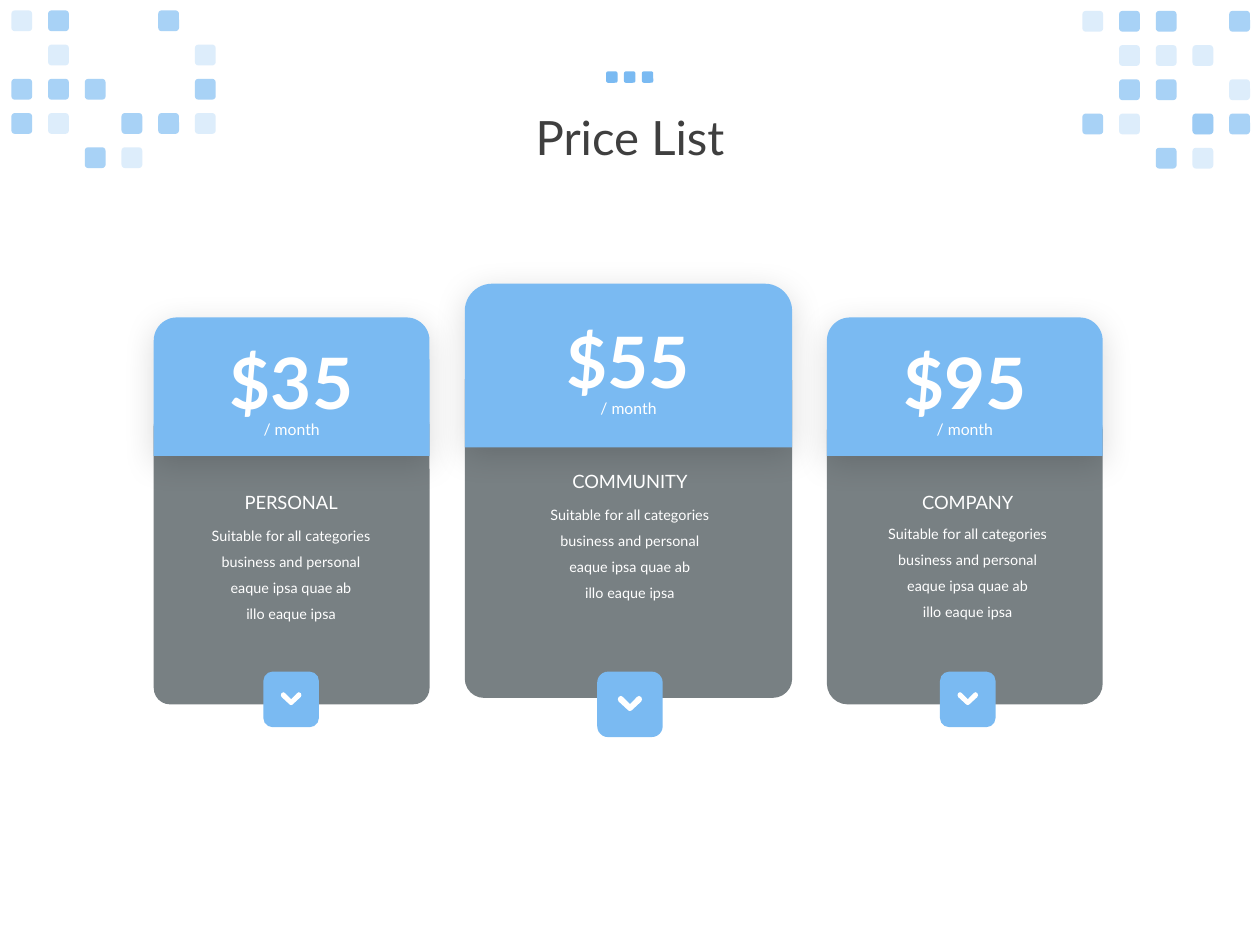
from lxml import etree
from pptx import Presentation
from pptx import util as u
from pptx.dml.color import RGBColor
from pptx.enum import shapes, text
from pptx.oxml.ns import qn

Cm, Pt = u.Cm, u.Pt
BLUE = RGBColor(0x7A, 0xBA, 0xF2)
SLATE = RGBColor(0x31, 0x3C, 0x41)
DARK = RGBColor(0x3F, 0x3F, 0x3F)
BLACK = RGBColor(0, 0, 0)
WHITE = RGBColor(0xFF, 0xFF, 0xFF)
ROUND = shapes.MSO_SHAPE.ROUNDED_RECTANGLE
ROUND_TOP = shapes.MSO_SHAPE.ROUND_2_SAME_RECTANGLE

# Each letter is a square with this opacity; "b" is a light square over a medium one
OPACITIES = {"l": [25], "m": [65], "b": [65, 25], "f": [100], ".": []}
LEFT_CORNER = ["lm..m.", ".l...l", "mmm..m", "ml.mml", "..ml.."]
RIGHT_CORNER = ["lmm.m", ".lll.", ".mm.l", "ml.bm", "..ml."]

FEATURES = ["Suitable for all categories business and personal",
            "eaque ipsa quae ab", "illo eaque ipsa"]
SMALL_INSETS = dict(margin_left=Cm(0.18), margin_right=Cm(0.18),
                    margin_top=Cm(0.1), margin_bottom=Cm(0.1))

# box: left, top, width, height; axis: centre line of the lower texts and button
CARDS = [
    dict(price="$35", name="PERSONAL", box=(3.1, 6.4, 5.56, 7.8), head=2.79,
         body_top=1.86, adj=0.059, price_top=0.3, features_top=3.96,
         axis=5.87, button=1.12),
    dict(price="$55", name="COMMUNITY", box=(9.37, 5.72, 6.6, 8.35), head=3.3,
         body_top=1.57, adj=0.059, price_top=0.56, features_top=4.21,
         axis=12.7, button=1.32),
    dict(price="$95", name="COMPANY", box=(16.67, 6.4, 5.56, 7.8), head=2.79,
         body_top=1.86, adj=0.075, price_top=0.3, features_top=3.91,
         axis=19.51, button=1.12),
]


def set_all(obj, values):
    for name, value in values.items():
        setattr(obj, name, value)


def paint(sp, color, opacity=100):
    """Flat fill without line or shadow; opacity in percent."""
    sp.shadow.inherit = False
    sp.line.fill.background()
    sp.fill.solid()
    sp.fill.fore_color.rgb = color
    if opacity < 100:
        clr = sp.fill._xPr.find(".//" + qn("a:srgbClr"))
        etree.SubElement(clr, qn("a:alpha"), val=str(opacity * 1000))


def add_block(container, kind, box, color, opacity=100, adj=None):
    sp = container.add_shape(kind, *map(Cm, box))
    paint(sp, color, opacity)
    if adj is not None:
        sp.adjustments[0] = adj
    return sp


def add_soft_shadow(sp):
    effects = sp._element.spPr.find(qn("a:effectLst"))
    shadow = etree.SubElement(effects, qn("a:outerShdw"), blurRad=str(Pt(19)),
                              dist=str(Pt(4)), dir="5400000", algn="t",
                              rotWithShape="0")
    clr = etree.SubElement(shadow, qn("a:srgbClr"), val=str(BLACK))
    etree.SubElement(clr, qn("a:alpha"), val="15000")


def write(tf, lines, size, color=WHITE, bold=False, spacing=1.0):
    for i, line in enumerate(lines):
        p = tf.paragraphs[0] if i == 0 else tf.add_paragraph()
        set_all(p, dict(alignment=text.PP_ALIGN.CENTER, line_spacing=spacing))
        r = p.add_run()
        r.text = line
        set_all(r.font, dict(name="Lato", size=Pt(size), bold=bold))
        r.font.color.rgb = color


def add_label(slide, center, top, width, height, lines, size, insets=SMALL_INSETS, **fmt):
    """Text box centred on a vertical axis."""
    tf = slide.shapes.add_textbox(Cm(center - width / 2), Cm(top),
                                  Cm(width), Cm(height)).text_frame
    set_all(tf, dict(word_wrap=True,
                     auto_size=text.MSO_AUTO_SIZE.SHAPE_TO_FIT_TEXT, **insets))
    write(tf, lines, size, **fmt)


def add_squares(slide, left, top, rows, side, step_x, step_y):
    """Group of rounded squares laid out from a letter map."""
    group = slide.shapes.add_group_shape()
    for j, row in enumerate(rows):
        for i, letter in enumerate(row):
            for opacity in OPACITIES[letter]:
                add_block(group.shapes, ROUND,
                          (left + i * step_x, top + j * step_y, side, side),
                          BLUE, opacity)


def add_chevron(slide, center, top, width):
    half = [(7, 9.7), (0.6, 3.8), (0, 2.4), (0.5, 0.8), (2, 0), (3.3, 0.7)]
    outline = ([(8, 10)] + half + [(8, 5.5)]
               + [(16 - x, y) for x, y in reversed(half)])
    unit = width / 16
    points = [(Cm(center + (x - 8) * unit), Cm(top + y * unit)) for x, y in outline]
    fb = slide.shapes.build_freeform(*points[0])
    fb.add_line_segments(points[1:], close=True)
    paint(fb.convert_to_shape(), WHITE)


def add_button(slide, center, top, side):
    add_block(slide.shapes, ROUND, (center - side / 2, top, side, side), BLUE)
    add_chevron(slide, center, top + 0.37 * side, 0.37 * side)


def add_card(slide, price, name, box, head, body_top, adj, price_top,
             features_top, axis, button):
    left, top, width, height = box
    center = left + width / 2
    add_block(slide.shapes, ROUND, (left, top + body_top, width, height - body_top),
              SLATE, 65, adj)
    add_soft_shadow(add_block(slide.shapes, ROUND_TOP, (left, top, width, head), BLUE))
    text_top = top + price_top
    add_label(slide, center, text_top, 3.3, 1.98, [price], 40.5, insets={}, bold=True)
    add_label(slide, center, text_top + 1.47, 2.1, 0.69, ["/ month"], 9, spacing=1.5)
    add_label(slide, axis, text_top + 3.1, 3.66, 0.64, [name], 10.5)
    add_label(slide, axis, top + features_top, 4.01, 2.24, FEATURES, 8.25, spacing=1.5)
    add_button(slide, axis, 13.54, button)


def add_title(slide, left, top, width, height):
    sp = slide.shapes.title
    set_all(sp, dict(left=Cm(left), top=Cm(top), width=Cm(width), height=Cm(height)))
    sp.text_frame.vertical_anchor = text.MSO_ANCHOR.MIDDLE
    write(sp.text_frame, ["Price List"], 27, color=DARK, spacing=0.9)


def main():
    prs = Presentation()
    set_all(prs, dict(slide_width=Cm(25.4), slide_height=Cm(19.05)))
    slide = prs.slides.add_slide(prs.slide_layouts[5])
    add_title(slide, 1.75, 0.99, 21.9, 3.68)
    for card in CARDS:
        add_card(slide, **card)
    add_squares(slide, 0.23, 0.21, LEFT_CORNER, 0.42, 0.74, 0.69)
    add_squares(slide, 21.82, 0.22, RIGHT_CORNER, 0.42, 0.74, 0.69)
    add_squares(slide, 12.22, 1.44, ["fff"], 0.23, 0.36, 0)
    prs.save("out.pptx")


if __name__ == "__main__":
    main()
